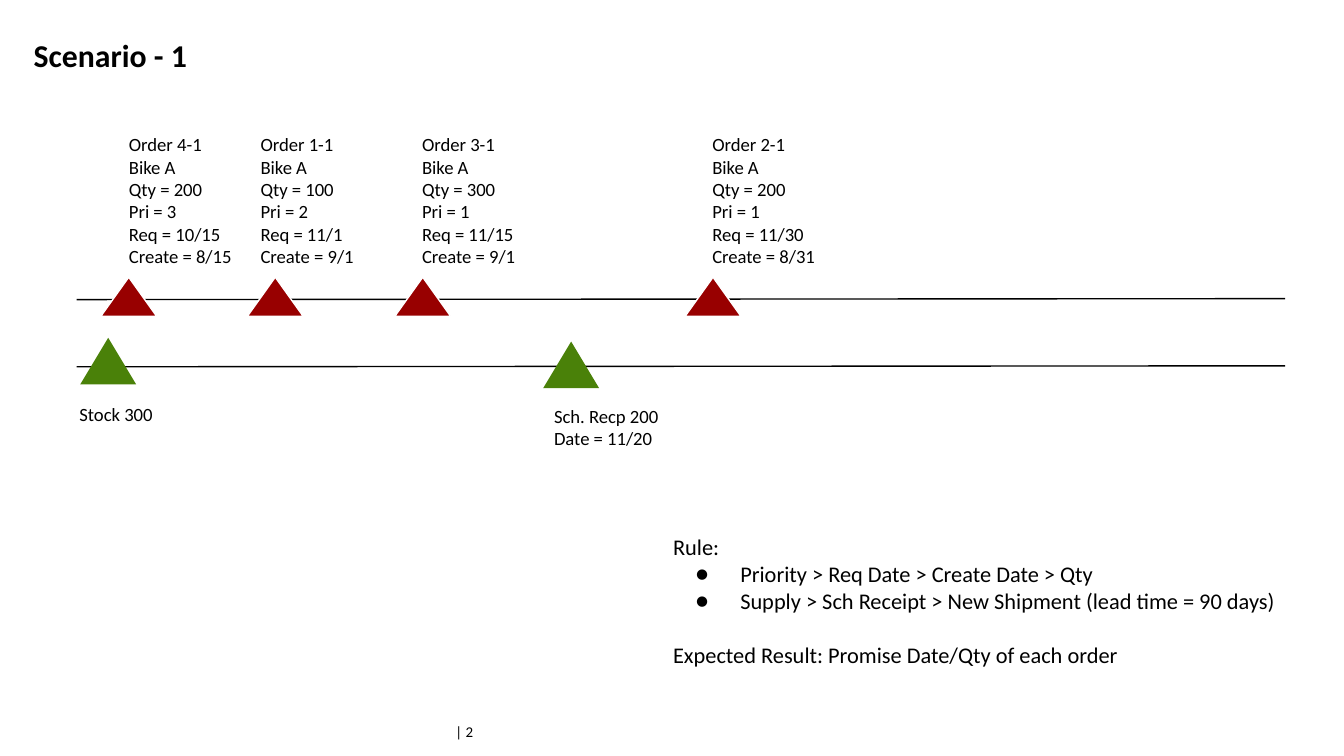
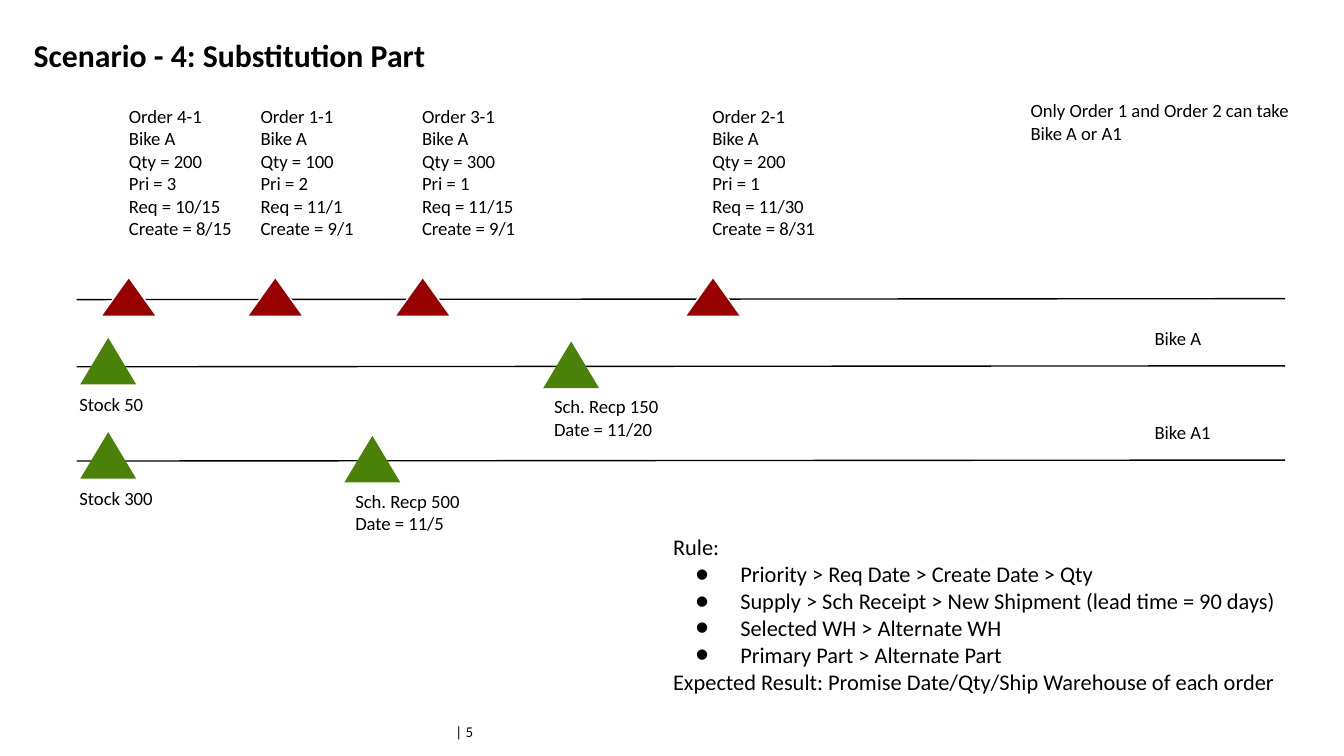
from dataclasses import dataclass

from lxml.etree import SubElement
from pptx import Presentation
from pptx.dml.color import RGBColor
from pptx.enum.shapes import MSO_CONNECTOR as Connector, MSO_SHAPE as Shape
from pptx.enum.text import MSO_ANCHOR as Anchor, MSO_AUTO_SIZE as AutoSize
from pptx.oxml.ns import qn
from pptx.util import Pt


@dataclass(frozen=True)
class Theme:
    font: str = "Calibri"
    ink: str = "000000"
    paper: str = "FFFFFF"
    demand: str = "980000"
    supply: str = "4A8109"
    title: float = 17
    body: float = 12
    label: float = 10
    footer: float = 8
    rule: float = 0.75


@dataclass(frozen=True)
class Box:
    left: float
    top: float
    width: float
    height: float

    def inner(self, left, top, width, height):
        return Box(self.left + left, self.top + top, width, height)

    def lengths(self):
        return [Pt(value) for value in (self.left, self.top, self.width, self.height)]


THEME = Theme()
PAGE = Box(0, 0, 720, 405)
TITLE = Box(18, 16, 684, 39.5)
FOOTER = Box(239, 384, 26.5, 15)
DEMAND = Box(41, 160, 647.5, 0.5)
SUPPLY = Box(41, 196, 647.5, 0.5)
SUBSTITUTE = Box(41, 246.5, 647.5, 0.5)
NOTE = Box(545, 46, 154, 39)
ORDERS = [
    (13, 21, "Order 4-1", 200, 3, "10/15", "8/15"),
    (91.5, 91.5, "Order 1-1", 100, 2, "11/1", "9/1"),
    (170.5, 178, "Order 3-1", 300, 1, "11/15", "9/1"),
    (326, 333.5, "Order 2-1", 200, 1, "11/30", "8/31"),
]
RULES = [
    "Priority > Req Date > Create Date > Qty",
    "Supply > Sch Receipt > New Shipment (lead time = 90 days)",
]


def apply(target, formats):
    for name, value in formats.items():
        setattr(target, name, value)


def add_bullet(para):
    props = para._p.get_or_add_pPr()
    props.set("marL", str(Pt(36)))
    props.set("indent", str(Pt(-24)))
    color = SubElement(props, qn("a:buClr"))
    SubElement(color, qn("a:srgbClr"), val=THEME.ink)
    SubElement(props, qn("a:buFont"), typeface=THEME.font)
    SubElement(props, qn("a:buChar"), char="●")


def add_text(page, box, lines, size=THEME.label, bold=False, insets=(7.2, 7.2), grow=True):
    frame = page.shapes.add_textbox(*box.lengths()).text_frame
    across, down = map(Pt, insets)
    apply(frame, {
        "word_wrap": True,
        "auto_size": AutoSize.SHAPE_TO_FIT_TEXT if grow else AutoSize.NONE,
        "vertical_anchor": Anchor.TOP,
        "margin_left": across,
        "margin_right": across,
        "margin_top": down,
        "margin_bottom": down,
    })
    for index, line in enumerate(lines):
        para = frame.paragraphs[0] if index == 0 else frame.add_paragraph()
        span = para.add_run()
        span.text = line
        apply(span.font, {"name": THEME.font, "size": Pt(size), "bold": bold})
        span.font.color.rgb = RGBColor.from_string(THEME.ink)
    return frame.paragraphs


def add_timeline(page, box):
    left, top, width, height = box.lengths()
    line = page.shapes.add_connector(
        Connector.STRAIGHT, left, top + height, left + width, top)
    line.line.width = Pt(THEME.rule)
    line.line.color.rgb = RGBColor.from_string(THEME.ink)
    SubElement(line._element.spPr, qn("a:effectLst"))


def add_marker(page, box, color, outline=None):
    marker = page.shapes.add_shape(Shape.ISOSCELES_TRIANGLE, *box.lengths())
    marker.shadow.inherit = False
    marker.fill.solid()
    marker.fill.fore_color.rgb = RGBColor.from_string(color)
    if outline:
        marker.line.width = Pt(THEME.rule)
        marker.line.color.rgb = RGBColor.from_string(outline)
    else:
        marker.line.fill.background()


def add_demand(page, box, label_top, label_height):
    add_timeline(page, box)
    for marker_left, label_left, order, quantity, priority, required, created in ORDERS:
        add_marker(page, box.inner(marker_left, -11.5, 30, 21), THEME.demand, THEME.paper)
        add_text(page, box.inner(label_left, label_top, 98.5, label_height), [
            order,
            "Bike A",
            f"Qty = {quantity}",
            f"Pri = {priority}",
            f"Req = {required}",
            f"Create = {created}",
        ])


def add_supply(page, box, label_top, stock, receipt_left, receipt, date, part=None):
    add_timeline(page, box)
    add_marker(page, box.inner(2, -15, 30, 25), THEME.supply)
    add_text(page, box.inner(-5.5, label_top, 77, 26.5), [f"Stock {stock}"])
    add_marker(page, box.inner(receipt_left, -13, 30, 25), THEME.supply)
    add_text(page, box.inner(receipt_left - 1.25, label_top, 77, 39),
             [f"Sch. Recp {receipt}", f"Date = {date}"])
    if part:
        add_text(page, box.inner(570.5, -27, 77, 26.5), [part])


def add_rules(page, box, rules, result, gap=0):
    paras = add_text(page, box, ["Rule:", *rules, f"Expected Result: {result}"], THEME.body)
    paras[-1].space_before = Pt(gap)
    for para in paras[1:-1]:
        add_bullet(para)


def add_page(deck, title, number):
    page = deck.slides.add_slide(deck.slide_layouts[6])
    page.background.fill.solid()
    page.background.fill.fore_color.rgb = RGBColor.from_string(THEME.paper)
    add_text(page, TITLE, [title], THEME.title, True, (0, 3), False)
    add_text(page, FOOTER, [f"| {number}"], THEME.footer, False, (5, 3), False)
    return page


def build_first_scenario(deck):
    page = add_page(deck, "Scenario - 1", 2)
    add_demand(page, DEMAND, -96, 87)
    add_supply(page, SUPPLY, 13.5, 300, 250, 200, "11/20")
    add_rules(page, PAGE.inner(353.5, 278.5, 348.5, 87), RULES,
              "Promise Date/Qty of each order", 14.4)


def build_substitution_scenario(deck):
    page = add_page(deck, "Scenario - 4: Substitution Part", 5)
    add_demand(page, DEMAND, -111, 99.5)
    add_supply(page, SUPPLY, 8.5, 50, 250, 150, "11/20", "Bike A")
    add_supply(page, SUBSTITUTE, 8.5, 300, 143.5, 500, "11/5", "Bike A1")
    add_text(page, NOTE, ["Only Order 1 and Order 2 can take Bike A or A1"])
    add_rules(page, PAGE.inner(353.5, 278.5, 348.5, 101.5),
              RULES + ["Selected WH > Alternate WH", "Primary Part > Alternate Part"],
              "Promise Date/Qty/Ship Warehouse of each order")


def main():
    deck = Presentation()
    apply(deck, {"slide_width": Pt(PAGE.width), "slide_height": Pt(PAGE.height)})
    build_first_scenario(deck)
    build_substitution_scenario(deck)
    deck.save("out.pptx")


if __name__ == "__main__":
    main()
